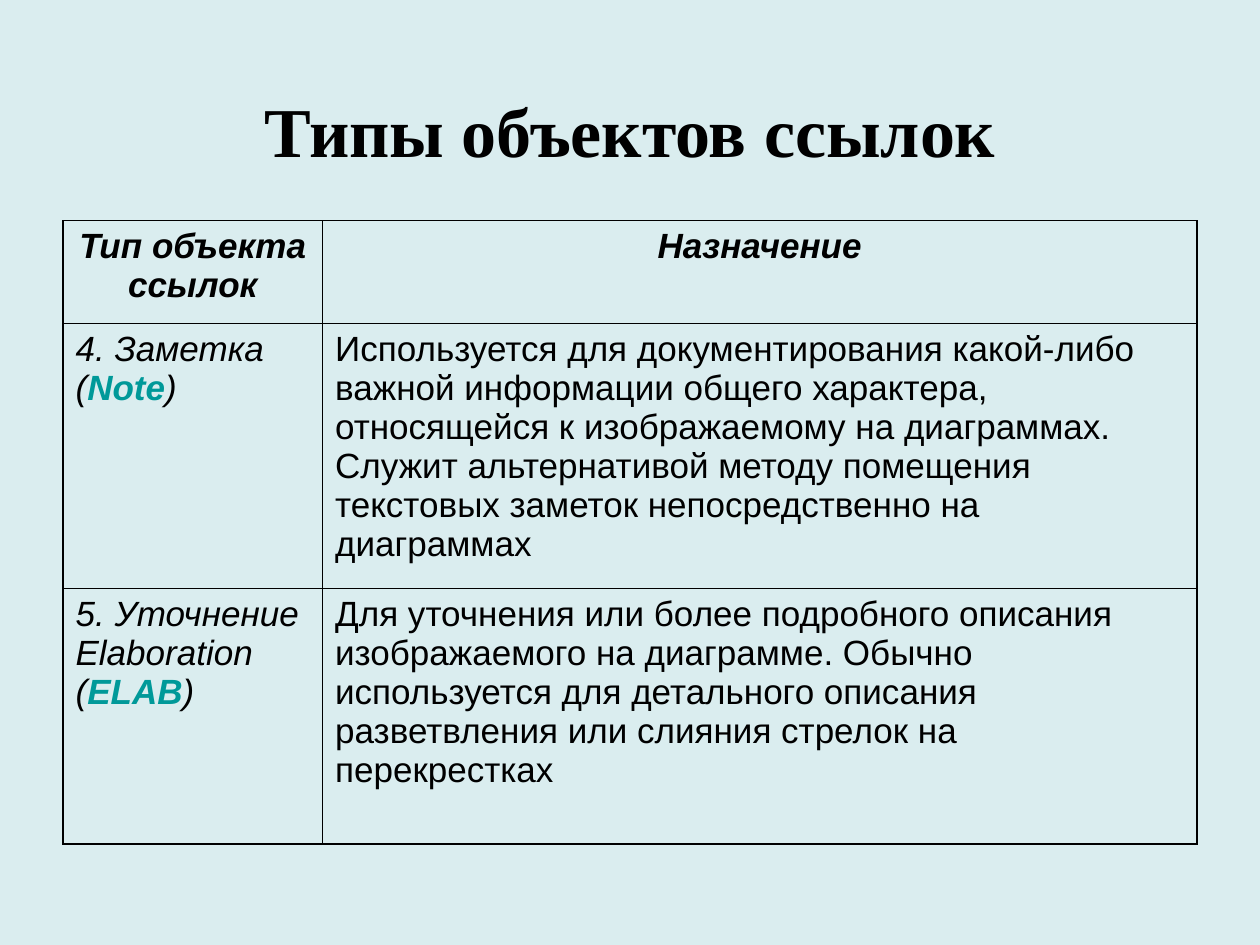
import dataclasses

import pptx
import pptx.dml.color
import pptx.enum.text
import pptx.oxml
import pptx.oxml.ns
import pptx.util

Inches = pptx.util.Inches
Align = pptx.enum.text.PP_ALIGN


@dataclasses.dataclass(frozen=True)
class Theme:
    back: str = "DAEDEF"
    ink: str = "000000"
    accent: str = "009999"
    head_font: str = "Times New Roman"
    body_font: str = "Arial"
    head_size: int = 40
    body_size: int = 20
    thin: float = 0.45
    thick: float = 1.08


THEME = Theme()
WIDTHS = (2.06, 6.94)
HEIGHTS = (0.82, 2.1, 2.03)
TITLE = "Типы объектов ссылок"
HEADS = ("Тип объекта ссылок", "Назначение")
KINDS = (
    ("4. Заметка (", "Note",
     "Используется для документирования какой-либо важной информации общего "
     "характера, относящейся к изображаемому на диаграммах. Служит альтернативой "
     "методу помещения текстовых заметок непосредственно на диаграммах"),
    ("5. Уточнение Elaboration (", "ELAB",
     "Для уточнения или более подробного описания изображаемого на диаграмме. "
     "Обычно используется для детального описания разветвления или слияния "
     "стрелок на перекрестках"),
)


def color(code):
    return pptx.dml.color.RGBColor.from_string(code)


def style(run, name, size, ink=THEME.ink, bold=False, slant=False):
    font = run.font
    font.name = name
    font.size = pptx.util.Pt(size)
    font.color.rgb = color(ink)
    font.bold = bold
    font.italic = slant


def add_title(slide):
    box = slide.shapes.add_textbox(Inches(0.5), Inches(0.5), Inches(9), Inches(1.05))
    frame = box.text_frame
    frame.word_wrap = True
    frame.vertical_anchor = pptx.enum.text.MSO_ANCHOR.MIDDLE
    frame.text = TITLE
    para = frame.paragraphs[0]
    para.alignment = Align.CENTER
    style(para.runs[0], THEME.head_font, THEME.head_size, bold=True)


def fill_cell(cell, parts, align=Align.LEFT):
    para = cell.text_frame.paragraphs[0]
    para.alignment = align
    for text, looks in parts:
        run = para.add_run()
        run.text = text
        style(run, THEME.body_font, THEME.body_size, **looks)


def add_edges(cell, edges):
    props = cell._tc.get_or_add_tcPr()
    space = pptx.oxml.ns.nsdecls("a")
    for side, width in edges.items():
        props.append(pptx.oxml.parse_xml(
            f'<a:ln{side} {space} w="{pptx.util.Pt(width)}"><a:solidFill>'
            f'<a:srgbClr val="{THEME.ink}"/></a:solidFill></a:ln{side}>'))
    cell.fill.background()


def add_grid(slide):
    rows, cols = len(HEIGHTS), len(WIDTHS)
    grid = slide.shapes.add_table(
        rows, cols, Inches(0.5), Inches(1.75),
        Inches(sum(WIDTHS)), Inches(sum(HEIGHTS))).table
    grid.first_row = grid.horz_banding = False
    for col, width in zip(grid.columns, WIDTHS):
        col.width = Inches(width)
    for row, height in zip(grid.rows, HEIGHTS):
        row.height = Inches(height)

    for col, text in enumerate(HEADS):
        fill_cell(grid.cell(0, col), [(text, {"bold": True, "slant": True})],
                  Align.CENTER)
    for row, (start, code, use) in enumerate(KINDS, 1):
        slant = {"slant": True}
        mark = {"slant": True, "bold": True, "ink": THEME.accent}
        fill_cell(grid.cell(row, 0), [(start, slant), (code, mark), (")", slant)])
        fill_cell(grid.cell(row, 1), [(use, {})])

    for row in range(rows):
        for col in range(cols):
            add_edges(grid.cell(row, col), {
                "L": THEME.thick if col == 0 else THEME.thin,
                "R": THEME.thick if col == cols - 1 else THEME.thin,
                "T": THEME.thin,
                "B": THEME.thick if row == rows - 1 else THEME.thin,
            })


def main():
    deck = pptx.Presentation()
    deck.slide_width = Inches(10)
    deck.slide_height = Inches(7.5)
    slide = deck.slides.add_slide(deck.slide_layouts[6])
    back = slide.background.fill
    back.solid()
    back.fore_color.rgb = color(THEME.back)
    add_title(slide)
    add_grid(slide)
    deck.save("out.pptx")


if __name__ == "__main__":
    main()
